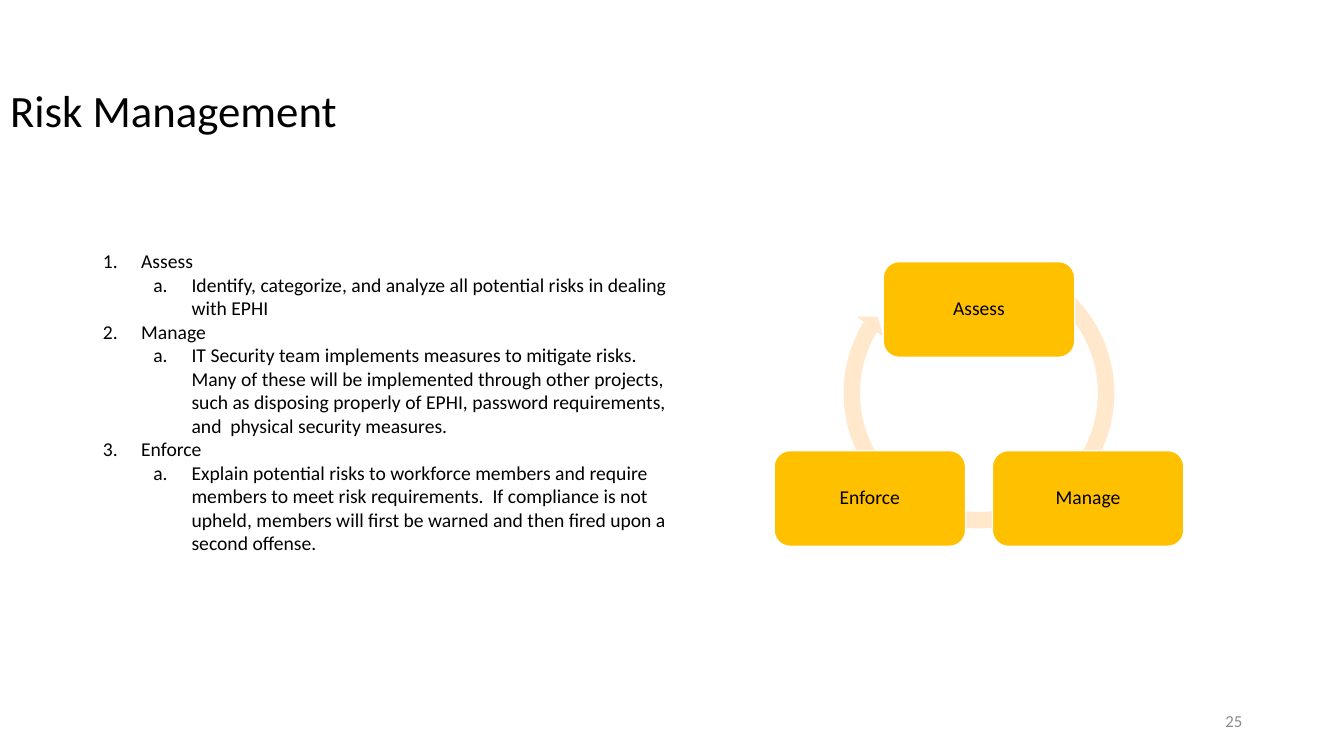
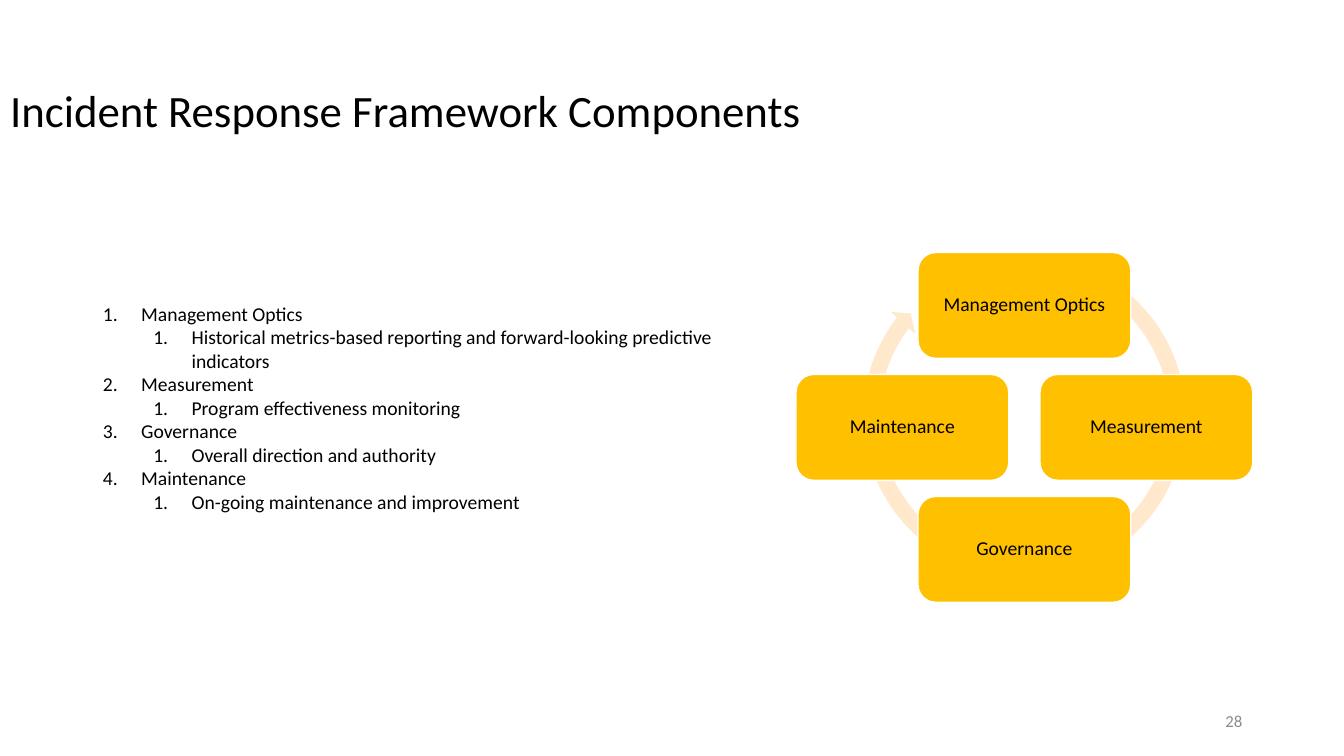
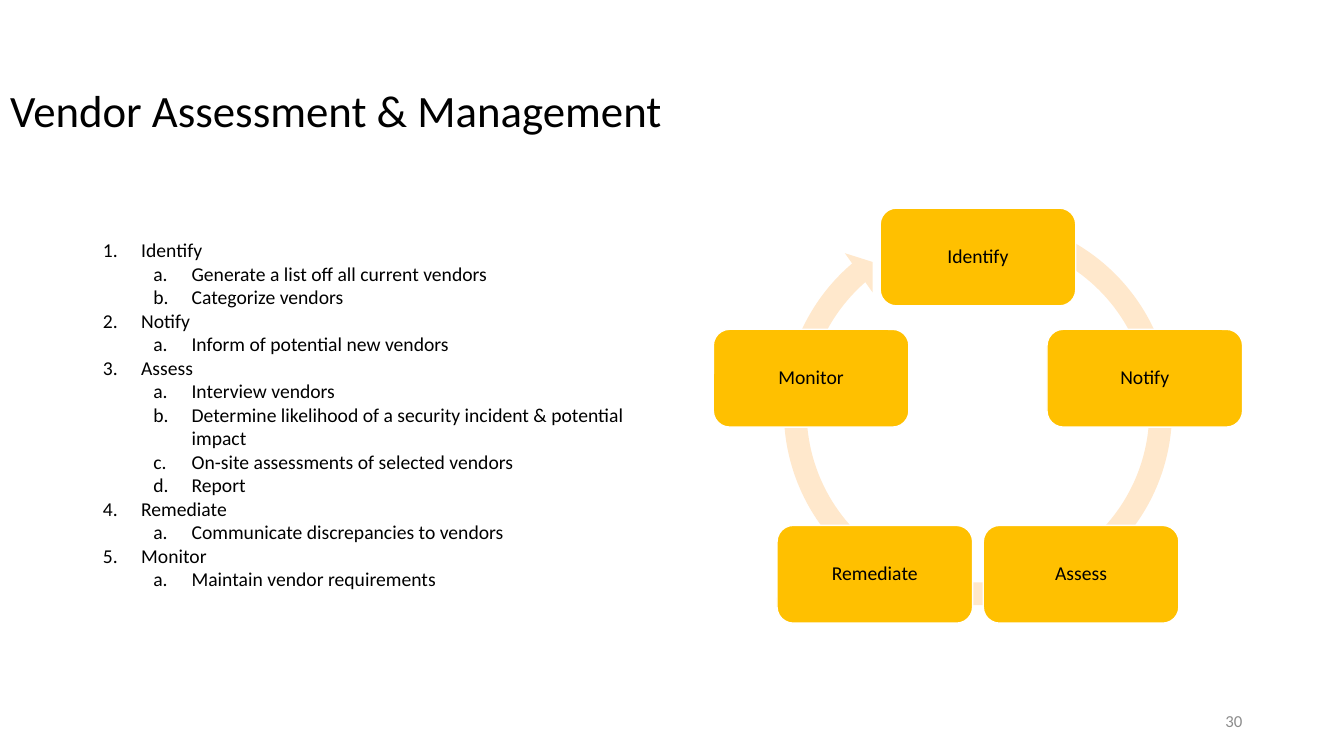
from math import cos, sin, tau

from lxml.etree import SubElement
from pptx import Presentation
from pptx.dml.color import RGBColor
from pptx.enum.shapes import MSO_SHAPE as Shape
from pptx.enum.text import MSO_ANCHOR as Anchor, MSO_AUTO_SIZE as Fit, PP_ALIGN as Align
from pptx.oxml.ns import qn
from pptx.util import Inches, Pt

FONT = "Calibri"
BLACK = RGBColor(0x00, 0x00, 0x00)
WHITE = RGBColor(0xFF, 0xFF, 0xFF)
GRAY = RGBColor(0x8C, 0x8C, 0x8C)
GOLD = RGBColor(0xFF, 0xC0, 0x00)
PEACH = RGBColor(0xFF, 0xE8, 0xCC)

SLIDES = [
    dict(
        title="Risk Management", page=25, sub="alphaLcPeriod",
        place=(0.92, 2.42, 6.02, 3.4),
        items=[
            ("Assess", ["Identify, categorize, and analyze all potential risks in dealing with EPHI"]),
            ("Manage", ["IT Security team implements measures to mitigate risks.  Many of these will be "
                        "implemented through other projects, such as disposing properly of EPHI, "
                        "password requirements, and  physical security measures."]),
            ("Enforce", ["Explain potential risks to workforce members and require members to meet risk "
                         "requirements.  If compliance is not upheld, members will first be warned and "
                         "then fired upon a second offense."]),
        ],
        ring=(8.28, 2.47, 2.86), bends=(0.057, 3.405, 126.82, 180.871, 0.059),
        center=(9.71, 4.32), radius=1.25, box=(1.9, 0.95),
    ),
    dict(
        title="Incident Response Framework Components", page=28, sub="arabicPeriod",
        place=(0.92, 2.94, 6.65, 2.46),
        items=[
            ("Management Optics", ["Historical metrics-based reporting and forward-looking predictive indicators"]),
            ("Measurement", ["Program effectiveness monitoring"]),
            ("Governance", ["Overall direction and authority"]),
            ("Maintenance", ["On-going maintenance and improvement"]),
        ],
        ring=(8.48, 2.45, 3.36), bends=(0.047, 2.729, 130.56, 178.797, 0.048),
        center=(10.16, 4.24), radius=1.21, box=(2.11, 1.05),
    ),
    dict(
        title="Vendor Assessment & Management", page=30, sub="alphaLcPeriod",
        place=(0.92, 2.31, 5.74, 3.64),
        items=[
            ("Identify", ["Generate a list off all current vendors", "Categorize vendors"]),
            ("Notify", ["Inform of potential new vendors"]),
            ("Assess", ["Interview vendors",
                        "Determine likelihood of a security incident & potential impact",
                        "On-site assessments of selected vendors", "Report"]),
            ("Remediate", ["Communicate discrepancies to vendors"]),
            ("Monitor", ["Maintain vendor requirements"]),
        ],
        ring=(7.65, 2.03, 4.1), bends=(0.055, 3.307, 137.56, 173.981, 0.058),
        center=(9.7, 4.29), radius=1.74, box=(1.94, 0.97),
    ),
]


def style(para, size, color=BLACK, align=Align.LEFT):
    """Set the font and alignment of a paragraph."""
    para.alignment = align
    font = para.font
    font.name, font.size, font.color.rgb = FONT, Pt(size), color


def move(shape, left, top, width, height):
    """Place a shape, in inches."""
    shape.left, shape.top = Inches(left), Inches(top)
    shape.width, shape.height = Inches(width), Inches(height)


def add_title(slide, text):
    """Fill the title placeholder."""
    title = slide.shapes.title
    move(title, 0, 0.4, 11.5, 1.45)
    frame = title.text_frame
    frame.text = text
    frame.vertical_anchor = Anchor.MIDDLE
    para = frame.paragraphs[0]
    para.line_spacing = 0.9
    style(para, 32)


def add_page(slide, number):
    """Write the page number at the bottom right."""
    box = slide.shapes.add_textbox(Inches(9.42), Inches(6.95), Inches(3), Inches(0.4))
    frame = box.text_frame
    frame.word_wrap = True
    frame.vertical_anchor = Anchor.MIDDLE
    frame.text = str(number)
    style(frame.paragraphs[0], 12, GRAY, Align.RIGHT)


def number(para, level, scheme):
    """Give a paragraph its level, hanging indent and automatic number."""
    para.level = level
    para.space_before = Pt(0)
    props = para._p.get_or_add_pPr()
    props.set("marL", str(Inches(0.38 + 0.5 * level)))
    props.set("indent", str(Inches(-0.38)))
    SubElement(props, qn("a:buFont"), typeface=FONT)
    SubElement(props, qn("a:buAutoNum"), type=scheme)


def add_list(slide, items, sub, place):
    """Fill the body placeholder with a two-level numbered list."""
    body = slide.placeholders[1]
    move(body, *place)
    frame = body.text_frame
    frame.word_wrap = True
    frame.auto_size = Fit.SHAPE_TO_FIT_TEXT
    lines = []
    for head, points in items:
        lines.append((head, 0, "arabicPeriod"))
        lines += [(point, 1, sub) for point in points]
    frame.text = "\n".join(text for text, _, _ in lines)
    for para, (_, level, scheme) in zip(frame.paragraphs, lines):
        number(para, level, scheme)
        style(para, 14)


def add_ring(slide, left, top, size, bends):
    """Draw the circular arrow behind the boxes."""
    ring = slide.shapes.add_shape(
        Shape.CIRCULAR_ARROW, Inches(left), Inches(top), Inches(size), Inches(size))
    for i, bend in enumerate(bends):
        ring.adjustments[i] = bend
    ring.shadow.inherit = False
    ring.fill.solid()
    ring.fill.fore_color.rgb = PEACH
    ring.line.fill.background()


def add_step(slide, text, x, y, width, height):
    """Draw a labelled box centred on a point."""
    step = slide.shapes.add_shape(
        Shape.ROUNDED_RECTANGLE, Inches(x - width / 2), Inches(y - height / 2),
        Inches(width), Inches(height))
    step.shadow.inherit = False
    step.fill.solid()
    step.fill.fore_color.rgb = GOLD
    step.line.color.rgb = WHITE
    step.line.width = Pt(1)
    frame = step.text_frame
    frame.word_wrap = True
    frame.vertical_anchor = Anchor.MIDDLE
    frame.margin_left = frame.margin_right = Inches(0.06)
    frame.margin_top = frame.margin_bottom = Inches(0.06)
    frame.text = text
    para = frame.paragraphs[0]
    para.line_spacing = 0.9
    style(para, 14, align=Align.CENTER)


def add_cycle(slide, names, center, radius, box):
    """Set the boxes clockwise at equal angles, from the top."""
    for i, name in enumerate(names):
        turn = tau * i / len(names)
        add_step(slide, name, center[0] + radius * sin(turn),
                 center[1] - radius * cos(turn), *box)


def main():
    """Build and save the slides."""
    deck = Presentation()
    deck.slide_width, deck.slide_height = Inches(13.33), Inches(7.5)
    for data in SLIDES:
        slide = deck.slides.add_slide(deck.slide_layouts[1])
        add_page(slide, data["page"])
        add_title(slide, data["title"])
        add_ring(slide, *data["ring"], data["bends"])
        names = [head for head, _ in data["items"]]
        add_cycle(slide, names, data["center"], data["radius"], data["box"])
        add_list(slide, data["items"], data["sub"], data["place"])
    deck.save("out.pptx")


if __name__ == "__main__":
    main()
